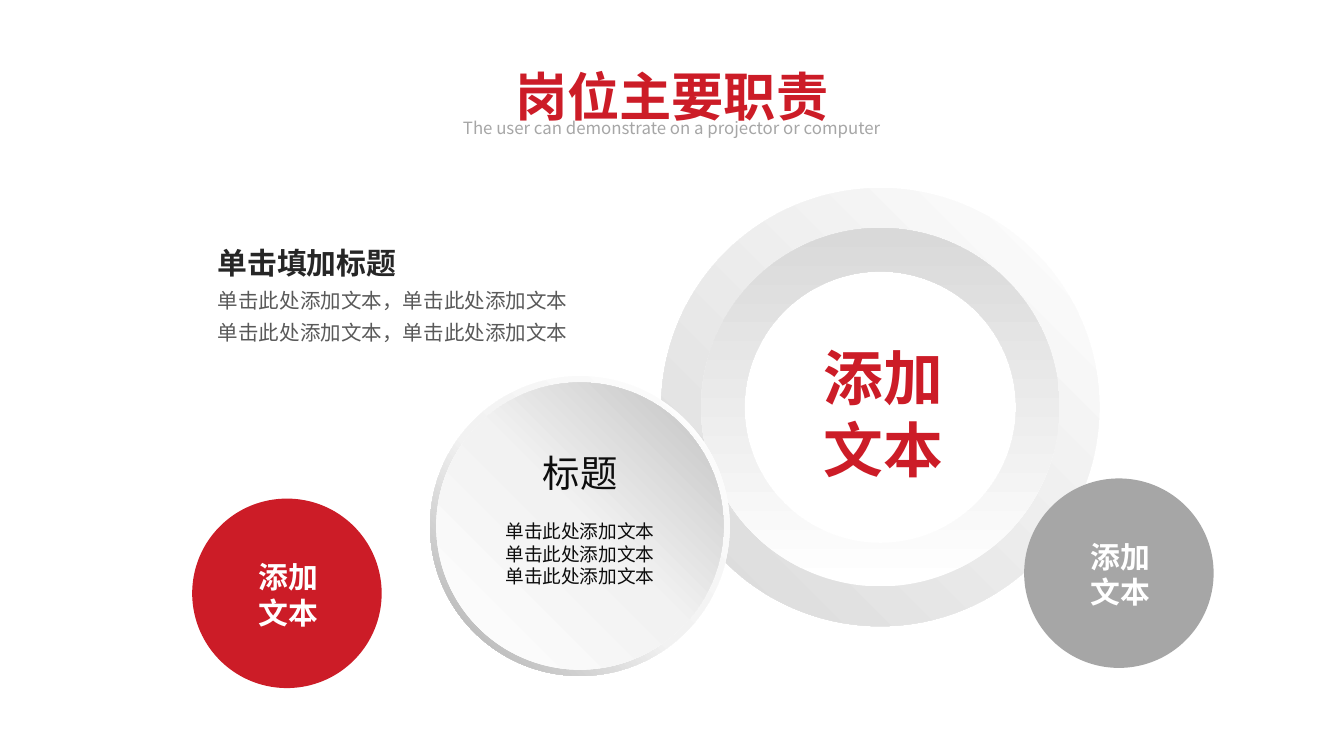
from collections import namedtuple

from lxml import etree
from pptx import Presentation
from pptx import util as u
from pptx.dml.color import RGBColor
from pptx.enum import shapes, text
from pptx.oxml import ns

# Grid: 100 columns across a 16:9 slide, square cells, 56.25 rows
COLUMNS, ROWS = 100, 56.25
CELL = u.Inches(10) / COLUMNS
FONT = "Noto Sans CJK SC"
RED, GRAY, WHITE, INK = "CC1C27", "A6A6A6", "FFFFFF", "0D0D0D"
CENTER, LEFT = text.PP_ALIGN.CENTER, text.PP_ALIGN.LEFT
OVAL, DONUT = shapes.MSO_SHAPE.OVAL, shapes.MSO_SHAPE.DONUT

Box = namedtuple("Box", "left top width height")


def part(box, left, top, width, height):
    """Return a box given as shares of another box."""
    return Box(box.left + left * box.width, box.top + top * box.height,
               width * box.width, height * box.height)


def inset(box, margin):
    """Return a box moved in by the same share on all sides."""
    return part(box, margin, margin, 1 - 2 * margin, 1 - 2 * margin)


def emu(box):
    return [round(side * CELL) for side in box]


def color(value):
    return RGBColor.from_string(value)


def style_lines(frame, lines, align=CENTER, spacing=1.0, wrap=True,
                anchor=text.MSO_ANCHOR.MIDDLE):
    """Fill a text frame; each line is (words, size, colour, bold)."""
    frame_format = {"word_wrap": wrap, "vertical_anchor": anchor,
                    "auto_size": text.MSO_AUTO_SIZE.NONE}
    for name, value in frame_format.items():
        setattr(frame, name, value)
    for number, (words, size, ink, bold) in enumerate(lines):
        para = frame.add_paragraph() if number else frame.paragraphs[0]
        para_format = {"alignment": align, "line_spacing": spacing,
                       "space_before": u.Pt(0), "space_after": u.Pt(0)}
        for name, value in para_format.items():
            setattr(para, name, value)
        span = para.add_run()
        span.text = words
        for name, value in {"name": FONT, "size": u.Pt(size), "bold": bold}.items():
            setattr(span.font, name, value)
        span.font.color.rgb = color(ink)
        etree.SubElement(span.font._element, ns.qn("a:ea"), typeface=FONT)


def add_text(page, box, lines, **options):
    shape = page.shapes.add_textbox(*emu(box))
    style_lines(shape.text_frame, lines, **options)
    return shape


def add_round(page, kind, box, fill=None, stops=(), angle=0, ring=None):
    """Add a circle or ring with a plain fill or a clockwise-angled gradient."""
    shape = page.shapes.add_shape(kind, *emu(box))
    shape.shadow.inherit = False
    shape.line.fill.background()
    if ring:
        shape.adjustments[0] = ring
    if fill:
        shape.fill.solid()
        shape.fill.fore_color.rgb = color(fill)
        return
    shape.fill.gradient()
    shape.fill.gradient_angle = 360 - angle
    stop_list = shape._element.spPr.find(".//" + ns.qn("a:gsLst"))
    for stop in list(stop_list):
        stop_list.remove(stop)
    for position, value in stops:
        stop = etree.SubElement(stop_list, ns.qn("a:gs"), pos=str(position * 1000))
        etree.SubElement(stop, ns.qn("a:srgbClr"), val=value)


def add_heading(page, box):
    title = page.shapes.title
    title.left, title.top, title.width, title.height = emu(part(box, 0.126, 0, 0.75, 0.87))
    style_lines(title.text_frame, [("岗位主要职责", 28, RED, True)], wrap=False)
    add_text(page, part(box, 0, 0.61, 1, 0.38),
             [("The user can demonstrate on a projector or computer", 9, GRAY, False)])


def add_body(page, box):
    body = page.placeholders[1]
    body.left, body.top, body.width, body.height = emu(box)
    detail = ("单击此处添加文本，单击此处添加文本", 11, "595959", False)
    style_lines(body.text_frame, [("单击填加标题", 16, "262626", True), detail, detail],
                align=LEFT, spacing=1.3, anchor=text.MSO_ANCHOR.TOP)
    for para in body.text_frame.paragraphs:
        props = para._p.get_or_add_pPr()
        props.set("marL", "0")
        props.set("indent", "0")
        etree.SubElement(props, ns.qn("a:buNone"))


def add_large_ring(page, box):
    stops = [(0, WHITE), (100, "D9D9D9")]
    add_round(page, DONUT, box, stops=stops, angle=135, ring=0.101)
    add_round(page, DONUT, inset(box, 0.091), stops=stops, angle=270, ring=0.121)
    add_text(page, part(box, 0.227, 0.331, 0.56, 0.362),
             [(words, 32, RED, True) for words in ("添加", "文本")])


def add_middle_disc(page, box):
    add_round(page, DONUT, box, stops=[(0, WHITE), (55, "F2F2F2"), (100, GRAY)],
              angle=135, ring=0.049)
    add_round(page, OVAL, inset(box, 0.021),
              stops=[(0, WHITE), (51, "F2F2F2"), (100, "BFBFBF")], angle=315)
    add_text(page, part(box, 0.332, 0.222, 0.34, 0.2),
             [("标题", 20, INK, False)], align=LEFT, wrap=False)
    add_text(page, part(box, 0.14, 0.455, 0.72, 0.274),
             [("单击此处添加文本", 10, INK, False)] * 3)


def add_small_disc(page, box, fill):
    add_round(page, OVAL, box, fill=fill)
    label = add_text(page, part(box, 0.262, 0.28, 0.49, 0.45),
                     [(words, 16, WHITE, True) for words in ("添加", "文本")])
    label.fill.solid()
    label.fill.fore_color.rgb = color(fill)


def main():
    deck = Presentation()
    deck.slide_width, deck.slide_height = round(COLUMNS * CELL), round(ROWS * CELL)
    page = deck.slides.add_slide(deck.slide_layouts[1])

    # Circles, from back to front
    add_large_ring(page, Box(49.2, 14, 32.6, 32.6))
    add_middle_disc(page, Box(32, 28, 22.3, 22.3))
    add_small_disc(page, Box(14.3, 37.1, 14.1, 14.1), RED)
    add_small_disc(page, Box(76.2, 35.6, 14.1, 14.1), GRAY)

    # Heading and description
    add_heading(page, Box(32.9, 4.3, 34.1, 6.5))
    add_body(page, Box(15.2, 16.9, 32.9, 9.3))

    deck.save("out.pptx")


if __name__ == "__main__":
    main()
